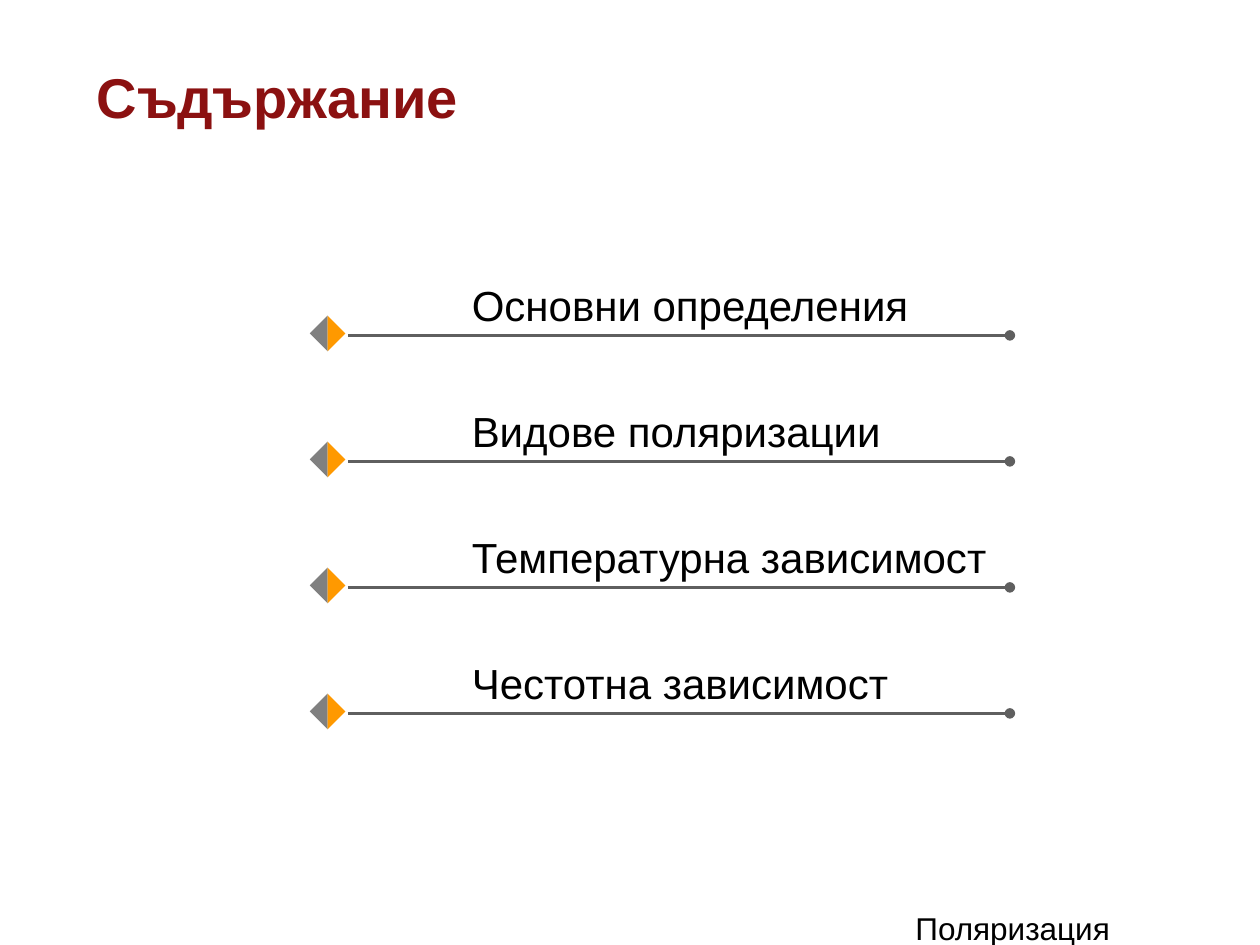
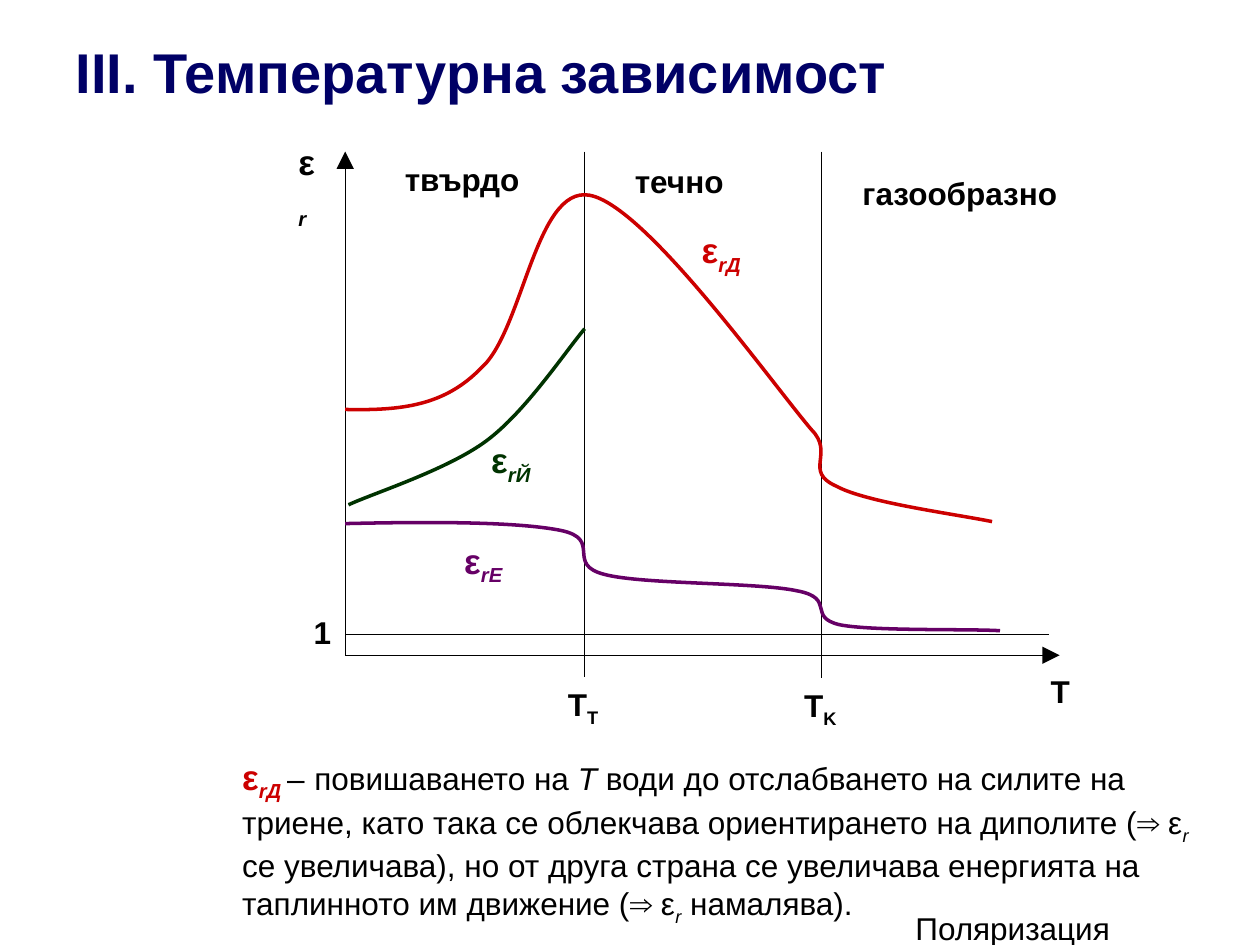
from dataclasses import dataclass, field
from typing import Any

from lxml.etree import SubElement
from pptx import Presentation
from pptx.dml.color import RGBColor
from pptx.enum.shapes import MSO_CONNECTOR, MSO_SHAPE
from pptx.enum.text import MSO_ANCHOR, MSO_AUTO_SIZE, PP_ALIGN
from pptx.oxml.ns import qn
from pptx.slide import Slide
from pptx.text.text import TextFrame
from pptx.util import Inches, Pt

SLIDE_WIDTH, SLIDE_HEIGHT = Inches(10), Inches(7.5)
COLUMN, ROW = SLIDE_WIDTH / 100, SLIDE_HEIGHT / 75
FONT = "Arial"
TITLE_ONLY = 5

COLORS = {
    "text": "000000",
    "contents title": "8B1111",
    "topic title": "000066",
    "rule": "5F5F5F",
    "marker left": "808080",
    "marker right": "FF9900",
    "dipole": "CC0000",
    "ionic": "003300",
    "electronic": "660066",
}
OVAL = {"type": "oval"}
ARROW = {"type": "triangle", "w": "lg", "len": "lg"}

Point = tuple[float, float]


@dataclass(frozen=True)
class Area:
    """A rectangle in grid columns and rows."""
    left: float
    top: float
    width: float
    height: float

    def emu(self) -> tuple[int, int, int, int]:
        return (*place((self.left, self.top)), *place((self.width, self.height)))


@dataclass(frozen=True)
class Span:
    text: str
    size: float = 18
    color: str = "text"
    subscript: bool = False
    style: dict[str, Any] = field(default_factory=dict)


@dataclass(frozen=True)
class Label:
    area: Area
    spans: list[Span]
    wrap: bool = False


@dataclass(frozen=True)
class Rule:
    start: Point
    end: Point
    color: str = "text"
    width: float = 0.75
    tail: dict[str, str] = field(default_factory=dict)


@dataclass(frozen=True)
class Curve:
    """Cubic segments: a start, then two control points and an end for each."""
    color: str
    points: list[Point]


def place(point: Point) -> tuple[int, int]:
    return round(point[0] * COLUMN), round(point[1] * ROW)


def rgb(color: str) -> RGBColor:
    return RGBColor.from_string(COLORS[color])


def write_text(frame: TextFrame, spans: list[Span], wrap: bool) -> None:
    frame.auto_size = MSO_AUTO_SIZE.NONE
    frame.word_wrap = wrap
    para = frame.paragraphs[0]
    para.alignment = PP_ALIGN.LEFT
    for span in spans:
        run = para.add_run()
        run.text = span.text
        values = {"name": FONT, "size": Pt(span.size), "bold": False, "italic": False}
        for name, value in (values | span.style).items():
            setattr(run.font, name, value)
        run.font.color.rgb = rgb(span.color)
        if span.subscript:
            run.font._element.set("baseline", "-25000")


def add_label(page: Slide, label: Label) -> None:
    box = page.shapes.add_textbox(*label.area.emu())
    write_text(box.text_frame, label.spans, label.wrap)


def add_rule(page: Slide, rule: Rule) -> None:
    connector = page.shapes.add_connector(
        MSO_CONNECTOR.STRAIGHT, *place(rule.start), *place(rule.end))
    connector.line.color.rgb = rgb(rule.color)
    connector.line.width = Pt(rule.width)
    properties = connector._element.spPr
    if rule.tail:
        SubElement(properties.find(qn("a:ln")), qn("a:tailEnd"), rule.tail)
    SubElement(properties, qn("a:effectLst"))


def add_curve(page: Slide, curve: Curve) -> None:
    """Draw the control polygon, then turn every three lines into one cubic."""
    builder = page.shapes.build_freeform(*place(curve.points[0]))
    builder.add_line_segments([place(point) for point in curve.points[1:]], close=False)
    shape = builder.convert_to_shape()
    outline = shape._element.find(".//" + qn("a:path"))
    lines = outline.findall(qn("a:lnTo"))
    for first in range(0, len(lines), 3):
        cubic = SubElement(outline, qn("a:cubicBezTo"))
        for line in lines[first:first + 3]:
            cubic.append(line[0])
            outline.remove(line)
    shape.shadow.inherit = False
    shape.fill.background()
    shape.line.color.rgb = rgb(curve.color)
    shape.line.width = Pt(2)


def add_marker(page: Slide, left: float, top: float) -> None:
    """Two right triangles, turned so that they make a two-coloured diamond."""
    for color, angle in (("marker left", 45), ("marker right", 225)):
        half = page.shapes.add_shape(
            MSO_SHAPE.RIGHT_TRIANGLE, *Area(left, top, 2, 2).emu())
        half.shadow.inherit = False
        half.rotation = angle
        half.fill.solid()
        half.fill.fore_color.rgb = rgb(color)
        half.line.fill.background()


def add_page(deck: Any, title: str, area: Area, color: str, anchor: MSO_ANCHOR) -> Slide:
    page = deck.slides.add_slide(deck.slide_layouts[TITLE_ONLY])
    heading = page.shapes.title
    heading.left, heading.top, heading.width, heading.height = area.emu()
    heading.text_frame.vertical_anchor = anchor
    write_text(heading.text_frame, [Span(title, 32, color, style={"bold": True})], True)
    add_label(page, Label(Area(71.67, 71.67, 23.33, 2.7), [Span("Поляризация")], True))
    return page


def bold(text: str) -> Span:
    return Span(text, style={"bold": True})


def symbol(letter: str, index: str, size: float = 20, color: str = "text",
           italic: bool = True) -> list[Span]:
    """A bold letter followed by its subscript."""
    return [Span(letter, size, color, style={"bold": True}),
            Span(index, size, color, True, {"bold": True, "italic": italic})]


def build_contents(deck: Any) -> None:
    page = add_page(deck, "Съдържание", Area(6.67, 5, 77.5, 5.3),
                    "contents title", MSO_ANCHOR.MIDDLE)
    topic_widths = {
        "Основни определения": 36.8,
        "Видове поляризации": 34.6,
        "Температурна зависимост": 43.1,
        "Честотна зависимост": 35.2,
    }
    for index, (topic, width) in enumerate(topic_widths.items()):
        top = 21.67 + 10 * index
        line = top + 4.95
        add_rule(page, Rule((27.65, line), (80.15, line), "rule", 2, OVAL))
        add_marker(page, 25, top + 3.8)
        add_label(page, Label(Area(36.46, top, width, 5), [Span(topic, 24)]))


def build_temperature(deck: Any) -> None:
    page = add_page(deck, "ІІІ. Температурна зависимост", Area(5, 2.5, 66.6, 6.3),
                    "topic title", MSO_ANCHOR.TOP)
    axis_x, axis_y, axis_top = 27.4, 52, 12.03
    melting, boiling = 46.4, 65.2
    rules = (
        Rule((axis_x, 50.36), (83.24, 50.36)),
        Rule((melting, axis_top), (melting, 53.7)),
        Rule((boiling, axis_top), (boiling, 53.8)),
        Rule((axis_x, axis_y), (84.1, axis_y), tail=ARROW),
        Rule((axis_x, axis_y), (axis_x, axis_top), tail=ARROW),
    )
    for rule in rules:
        add_rule(page, rule)

    curves = (
        Curve("electronic", [
            (27.4, 41.56), (34.2, 41.4), (41, 41.4), (44.5, 42.1),
            (47.9, 42.8), (44.8, 44.8), (48, 45.6),
            (51.1, 46.4), (60.1, 46.2), (63.3, 46.9),
            (66.4, 47.5), (64, 49), (66.7, 49.6),
            (69.4, 50.1), (76.7, 49.9), (79.37, 50.06)]),
        Curve("dipole", [
            (27.4, 32.5), (31.9, 32.6), (35.3, 32.2), (38.2, 29.2),
            (41.5, 26.3), (42.5, 14.7), (46.8, 15.5),
            (51.2, 16.3), (61.1, 30.2), (64.4, 34.1),
            (66.3, 36), (63.7, 37.4), (66.4, 38.6),
            (68.8, 39.9), (75.8, 40.8), (78.74, 41.4)]),
        Curve("ionic", [
            (27.66, 40.07), (29.5, 39.2), (35.5, 37.3), (38.6, 35),
            (41.7, 32.7), (44.8, 28), (46.4, 26.1)]),
    )
    for curve in curves:
        add_curve(page, curve)

    explanation = [
        *symbol("ε", "rД ", color="dipole"),
        Span("–"), Span(" ", 20), Span("повишаването на "),
        Span("Т", style={"italic": True}),
        Span(" води до отслабването на силите на триене, като така се "
             "облекчава ориентирането на диполите (⇒ ε"),
        Span("r", subscript=True, style={"italic": True}),
        Span(" се увеличава), но от друга страна се увеличава енергията на "
             "таплинното им движение (⇒ ε"),
        Span("r", subscript=True, style={"italic": True}),
        Span(" намалява)."),
    ]
    labels = (
        Label(Area(23.9, 48.14, 3.4, 4), [bold("1")]),
        Label(Area(44.1, 53.9, 4.6, 4), symbol("T", "T", 18, italic=False)),
        Label(Area(62.84, 53.94, 4.7, 4), symbol("T", "K", 18, italic=False)),
        Label(Area(82.4, 52.86, 3.5, 4), [bold("T")]),
        Label(Area(22.7, 10.66, 3.9, 4.3), symbol("ε", "r"), wrap=True),
        Label(Area(31.14, 12.2, 11.2, 4), [bold("твърдо")]),
        Label(Area(49.4, 12.4, 9.1, 4), [bold("течно")]),
        Label(Area(67.47, 13.3, 17.6, 4), [bold("газообразно")]),
        Label(Area(35.86, 42.3, 5.1, 4.3), symbol("ε", "rE", color="electronic")),
        Label(Area(54.7, 17.66, 5.2, 4.3), symbol("ε", "rД", color="dipole")),
        Label(Area(38, 34.3, 5.2, 4.3), symbol("ε", "rЙ", color="ionic")),
        Label(Area(18.24, 59.44, 78.4, 13.4), explanation, wrap=True),
    )
    for label in labels:
        add_label(page, label)


def main() -> None:
    deck = Presentation()
    deck.slide_width, deck.slide_height = SLIDE_WIDTH, SLIDE_HEIGHT
    build_contents(deck)
    build_temperature(deck)
    deck.save("out.pptx")


if __name__ == "__main__":
    main()
